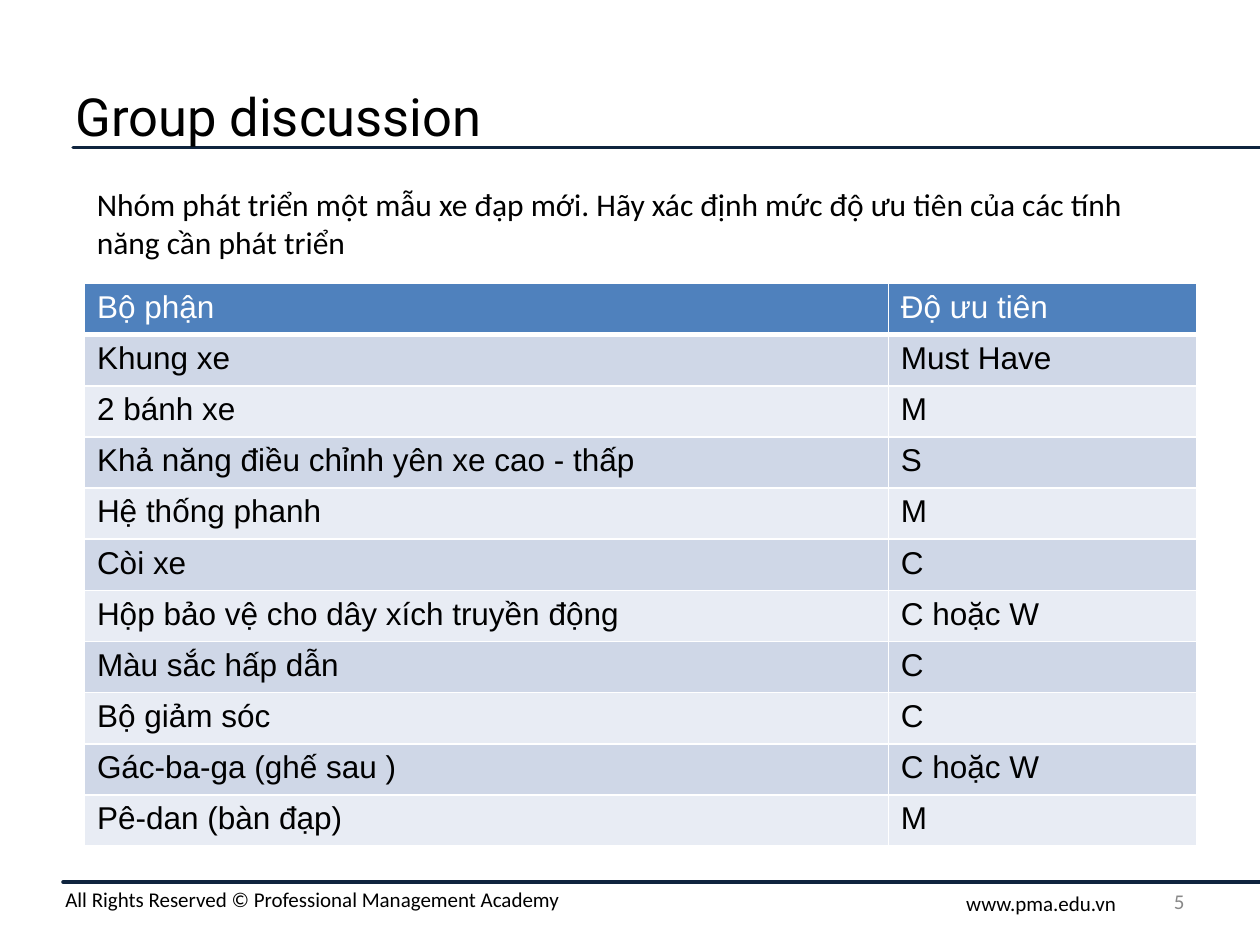
"""Build the group discussion slide with its feature priority table."""
from lxml import etree
from pptx import Presentation
from pptx.dml.color import RGBColor
from pptx.enum.shapes import MSO_CONNECTOR
from pptx.enum.text import MSO_ANCHOR, PP_ALIGN
from pptx.oxml.ns import qn
from pptx.util import Inches, Pt

STRAIGHT = MSO_CONNECTOR.STRAIGHT
TOP, MIDDLE = MSO_ANCHOR.TOP, MSO_ANCHOR.MIDDLE
LEFT, RIGHT = PP_ALIGN.LEFT, PP_ALIGN.RIGHT

COLORS = {
    "rule": "0F243E",
    "text": "000000",
    "number": "888888",
    "white": "FFFFFF",
    "header": "4F81BD",
    "odd": "CFD7E7",
    "even": "E8ECF4",
}

ROWS = [
    ("Bộ phận", "Độ ưu tiên"),
    ("Khung xe", "Must Have"),
    ("2 bánh xe", "M"),
    ("Khả năng điều chỉnh yên xe cao - thấp", "S"),
    ("Hệ thống phanh", "M"),
    ("Còi xe", "C"),
    ("Hộp bảo vệ cho dây xích truyền động", "C hoặc W"),
    ("Màu sắc hấp dẫn", "C"),
    ("Bộ giảm sóc", "C"),
    ("Gác-ba-ga (ghế sau )", "C hoặc W"),
    ("Pê-dan (bàn đạp)", "M"),
]
COLUMN_WIDTHS = (6.38, 2.45)
ROW_HEIGHT = 0.406


def rgb(name):
    """Return the named colour."""
    return RGBColor.from_string(COLORS[name])


def write(tf, text, color="text", align=LEFT, **font):
    """Write one formatted paragraph into a text frame."""
    p = tf.paragraphs[0]
    p.alignment = align
    r = p.add_run()
    r.text = text
    for name, value in font.items():
        setattr(r.font, name, value)
    r.font.color.rgb = rgb(color)


def add_text(s, box, text, size, font="Calibri", anchor=TOP, **style):
    """Add a wrapping text box."""
    tf = s.shapes.add_textbox(*map(Inches, box)).text_frame
    tf.word_wrap = True
    tf.vertical_anchor = anchor
    write(tf, text, size=Pt(size), name=font, **style)


def add_rule(s, left, top):
    """Add a horizontal rule that runs to the right edge."""
    line = s.shapes.add_connector(
        STRAIGHT, Inches(left), Inches(top), Inches(10), Inches(top))
    line.line.color.rgb = rgb("rule")
    line.line.width = Pt(2)
    line.line._get_or_add_ln().set("cap", "rnd")
    etree.SubElement(line._element.spPr, qn("a:effectLst"))


def set_borders(cell, bottom):
    """Give a cell white borders with the given bottom width."""
    tc_pr = cell._tc.get_or_add_tcPr()
    for side, width in {"L": 1, "R": 1, "T": 1, "B": bottom}.items():
        ln = etree.SubElement(tc_pr, qn(f"a:ln{side}"), w=str(Pt(width)))
        fill = etree.SubElement(ln, qn("a:solidFill"))
        etree.SubElement(fill, qn("a:srgbClr"), val=COLORS["white"])


def add_priorities(s, left, top):
    """Add the feature table with a header and banded rows."""
    table = s.shapes.add_table(
        len(ROWS), len(COLUMN_WIDTHS), Inches(left), Inches(top),
        Inches(sum(COLUMN_WIDTHS)), Inches(ROW_HEIGHT * len(ROWS))).table
    for column, width in zip(table.columns, COLUMN_WIDTHS):
        column.width = Inches(width)
    for i, values in enumerate(ROWS):
        table.rows[i].height = Inches(ROW_HEIGHT)
        band = "header" if i == 0 else "odd" if i % 2 else "even"
        for j, value in enumerate(values):
            cell = table.cell(i, j)
            set_borders(cell, 1 if i else 3)
            cell.fill.solid()
            cell.fill.fore_color.rgb = rgb(band)
            write(cell.text_frame, value, "text" if i else "white",
                  size=Pt(18), name="Arial", bold=False)


def main():
    """Build and save the slide."""
    prs = Presentation()
    prs.slide_width, prs.slide_height = Inches(10), Inches(7.5)
    s = prs.slides.add_slide(prs.slide_layouts[6])
    add_rule(s, 0.58, 1.17)
    add_rule(s, 0.5, 7)
    add_text(s, (0.42, 6.99, 9.58, 0.3),
             "All Rights Reserved © Professional Management Academy", 12)
    add_text(s, (7.57, 7.02, 1.52, 0.3), "www.pma.edu.vn", 12)
    add_text(s, (0.5, 0.5, 9, 0.83), "Group discussion", 30, "Roboto", MIDDLE)
    add_priorities(s, 0.67, 2.25)
    add_text(s, (7.17, 6.95, 2.33, 0.4), "5", 12, anchor=MIDDLE,
             color="number", align=RIGHT)
    add_text(s, (0.67, 1.42, 8.83, 0.71),
             "Nhóm phát triển một mẫu xe đạp mới. Hãy xác định mức độ ưu tiên "
             "của các tính năng cần phát triển", 18)
    prs.save("out.pptx")


if __name__ == "__main__":
    main()
